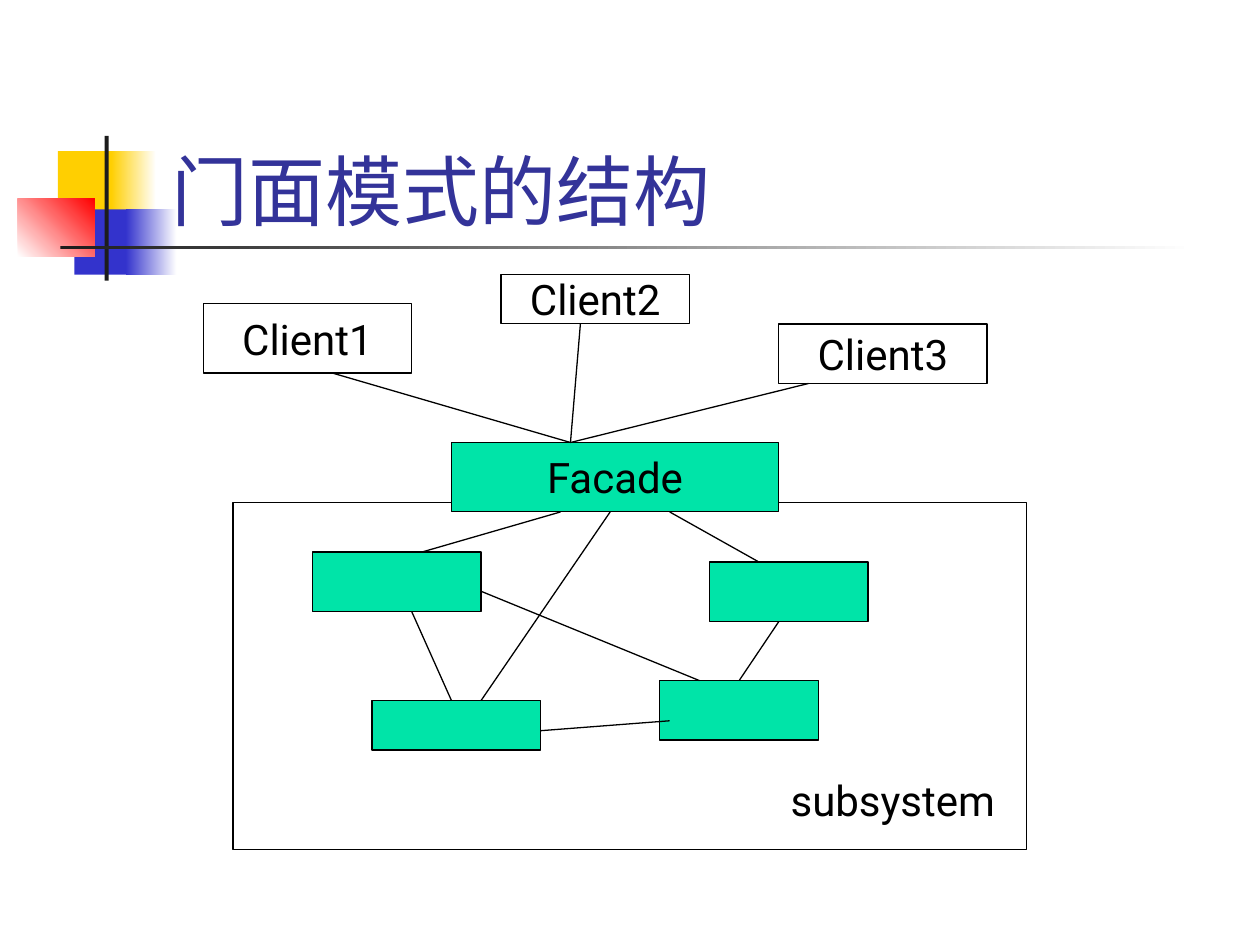
"""Build a slide showing the structure of the facade pattern."""
from lxml import etree
from pptx import Presentation
from pptx import util as u
from pptx.dml.color import RGBColor
from pptx.enum import shapes, text
from pptx.oxml.ns import qn

YELLOW = RGBColor(0xFF, 0xCF, 0x01)
BLUE = RGBColor(0x33, 0x33, 0xCC)
RED = RGBColor(0xFF, 0x00, 0x00)
DARK = RGBColor(0x1C, 0x1C, 0x1C)
NAVY = RGBColor(0x33, 0x33, 0x99)
GREEN = RGBColor(0x00, 0xE4, 0xA8)
WHITE = RGBColor(0xFF, 0xFF, 0xFF)
BLACK = RGBColor(0x00, 0x00, 0x00)


class Diagram:
    def __init__(self, s, font="Roboto", size=24, line=0.75):
        self.s = s
        self.font = font
        self.size = u.Pt(size)
        self.line = u.Pt(line)

    def rect(self, at, fill, outline=None):
        sp = self.s.shapes.add_shape(shapes.MSO_SHAPE.RECTANGLE, *map(u.Cm, at))
        sp.shadow.inherit = False
        sp.fill.solid()
        sp.fill.fore_color.rgb = fill
        if outline is None:
            sp.line.fill.background()
        else:
            sp.line.color.rgb = outline
            sp.line.width = self.line
        return sp

    def fade(self, at, start, end, angle=0):
        sp = self.rect(at, start)
        sp.fill.gradient()
        sp.fill.gradient_angle = angle
        for stop, color in zip(sp.fill.gradient_stops, (start, end)):
            stop.color.rgb = color

    def label(self, sp, words, size, color):
        tf = sp.text_frame
        tf.text = words
        r = tf.paragraphs[0].runs[0]
        r.font.name = self.font
        r.font.size = size
        r.font.color.rgb = color
        return tf

    def box(self, at, words, fill=WHITE, outline=BLACK):
        sp = self.rect(at, fill, outline)
        tf = self.label(sp, words, self.size, BLACK)
        tf.word_wrap = False
        tf.vertical_anchor = text.MSO_ANCHOR.MIDDLE
        tf.paragraphs[0].alignment = text.PP_ALIGN.CENTER

    def title(self, at, words):
        sp = self.s.shapes.add_textbox(*map(u.Cm, at))
        tf = self.label(sp, words, u.Pt(44), NAVY)
        tf.word_wrap = True
        tf.vertical_anchor = text.MSO_ANCHOR.BOTTOM

    def link(self, start, end):
        c = self.s.shapes.add_connector(
            shapes.MSO_CONNECTOR.STRAIGHT, *map(u.Cm, start + end))
        c.line.color.rgb = BLACK
        c.line.width = self.line
        etree.SubElement(c._element.spPr, qn("a:effectLst"))
        return c


def main():
    prs = Presentation()
    prs.slide_width, prs.slide_height = u.Cm(25.4), u.Cm(19.05)
    d = Diagram(prs.slides.add_slide(prs.slide_layouts[6]))

    d.rect((1.17, 3.05, 1.22, 1.32), YELLOW)
    d.fade((2.24, 3.05, 0.91, 1.32), YELLOW, WHITE)
    d.rect((1.5, 4.22, 1.17, 1.32), BLUE)
    d.fade((2.54, 4.22, 1.02, 1.32), BLUE, WHITE)
    d.fade((0.36, 4.01, 1.55, 1.17), WHITE, RED, 45)
    d.rect((2.11, 2.74, 0.08, 2.92), DARK)
    d.fade((1.22, 4.95, 22.86, 0.08), DARK, WHITE)
    d.title((3.2, 1.7, 21.64, 3.18), "门面模式的结构")

    d.rect((4.7, 10.13, 16, 7), WHITE, BLACK)
    for at in ((6.3, 11.13, 3.4, 1.2), (14.3, 11.33, 3.2, 1.2), (7.5, 14.12, 3.4, 1)):
        d.rect(at, GREEN, BLACK)
    lower_right = d.rect((13.3, 13.72, 3.2, 1.2), GREEN, BLACK)

    d.box((9.1, 8.92, 6.6, 1.4), "Facade", GREEN)
    d.box((10.1, 5.53, 3.8, 1), "Client2")
    d.box((4.1, 6.12, 4.2, 1.4), "Client1")
    d.box((15.7, 6.53, 4.2, 1.2), "Client3")

    for start, end in (
        ((8.3, 12.33), (9.1, 14.12)),
        ((11.3, 10.32), (8.5, 11.13)),
        ((13.5, 10.32), (15.3, 11.33)),
        ((10.9, 14.73), (13.5, 14.53)),
        ((9.7, 11.92), (14.1, 13.72)),
        ((12.3, 10.32), (9.7, 14.12)),
    ):
        d.link(start, end)
    d.link((15.7, 12.53), (14.9, 13.72)).end_connect(lower_right, 0)
    for client in ((6.7, 7.52), (11.7, 6.53), (16.3, 7.73)):
        d.link(client, (11.5, 8.92))

    d.box((15.9, 15.52, 4.2, 1.2), "subsystem", outline=None)
    prs.save("out.pptx")


if __name__ == "__main__":
    main()
